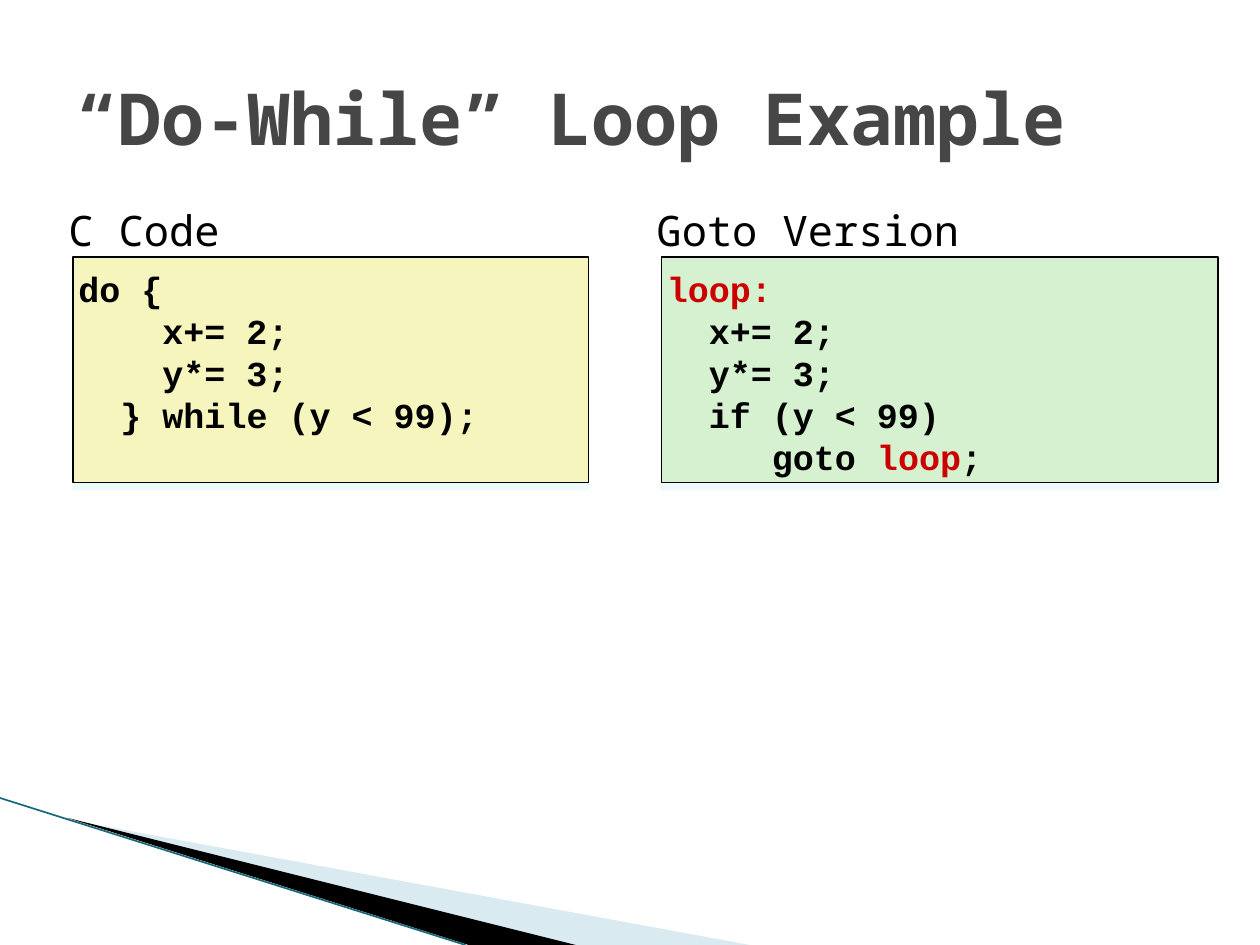
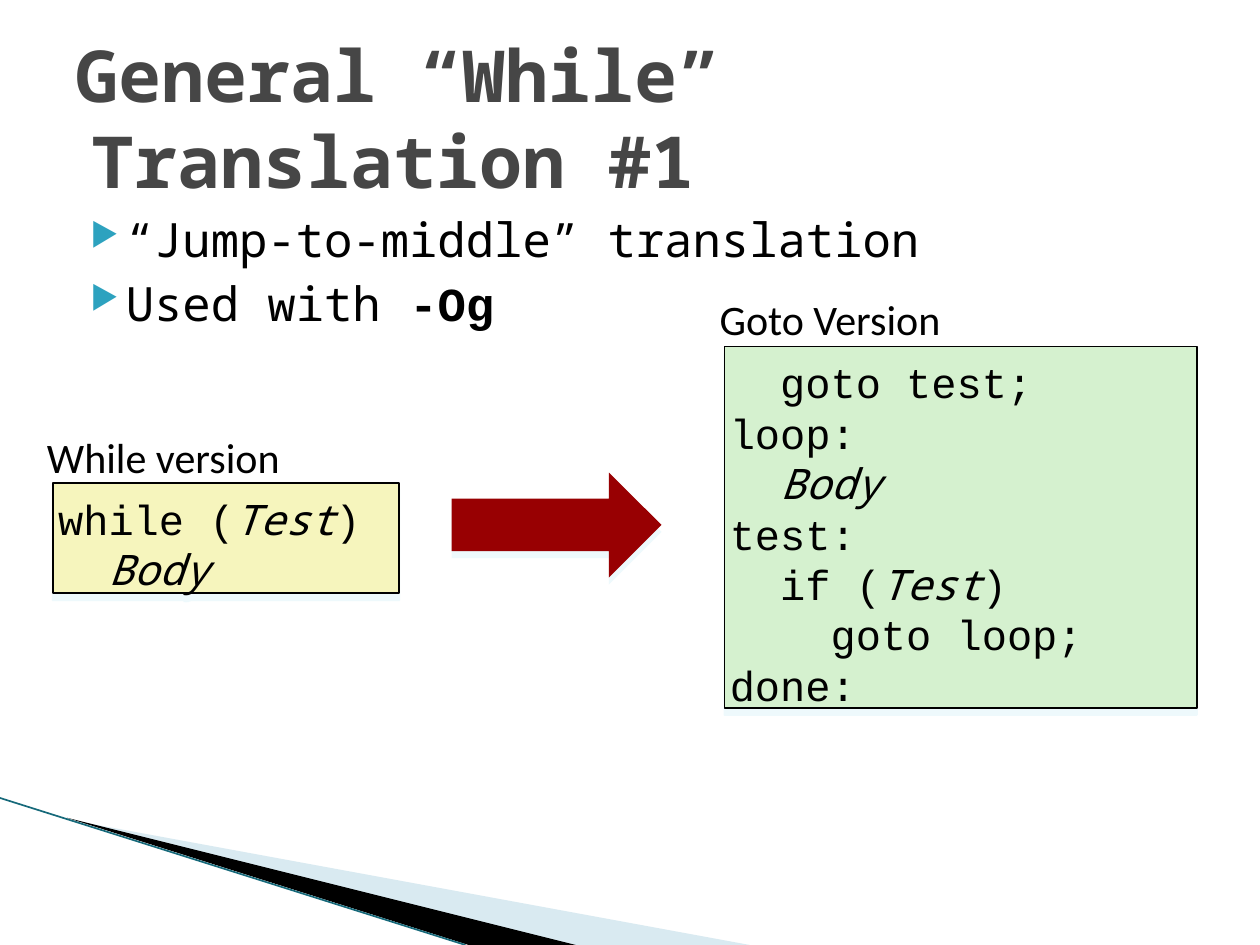
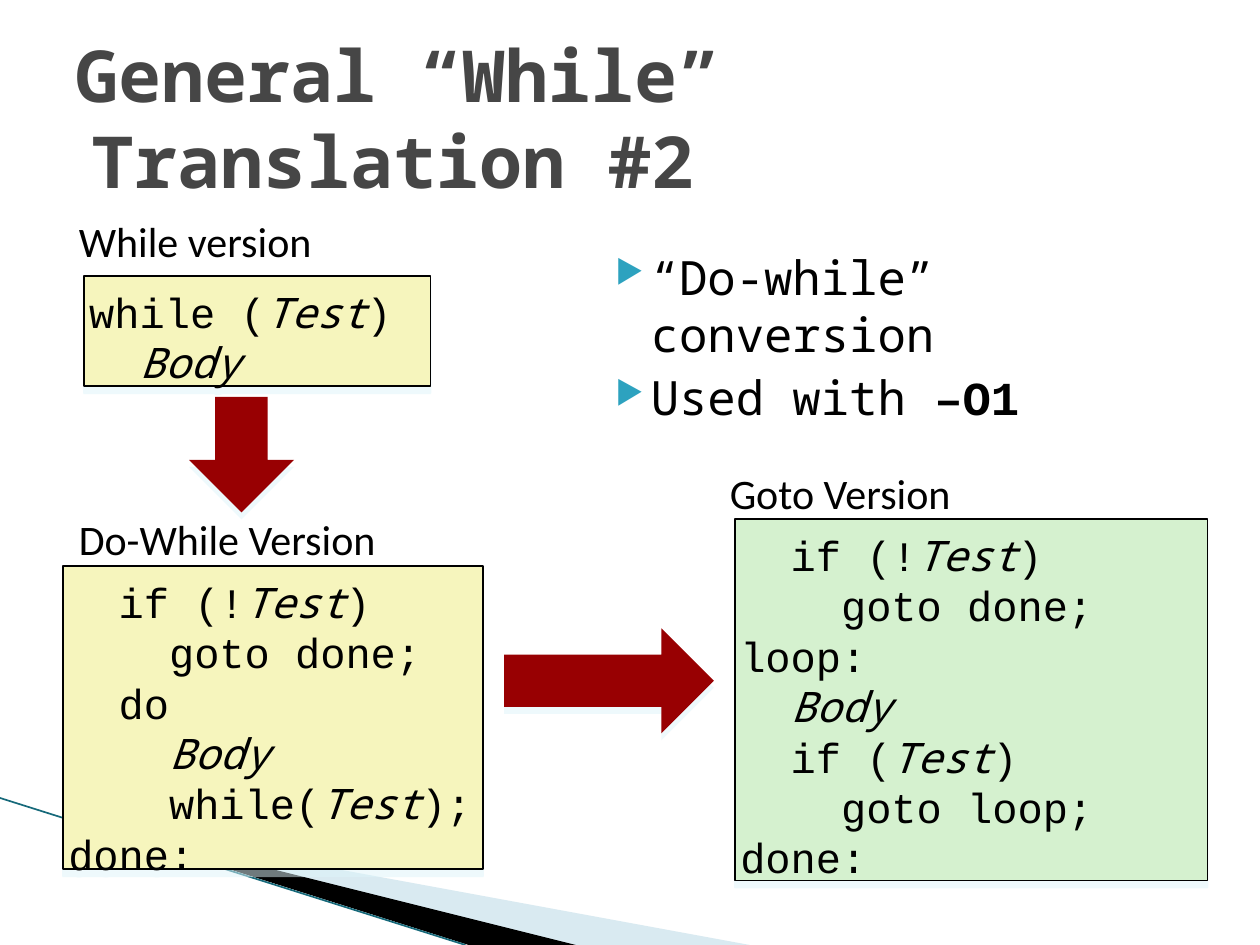
"""Build three slides on translating C loops into goto code."""
from lxml import etree
from pptx import Presentation
from pptx.dml.color import RGBColor
from pptx.enum import shapes, text
from pptx.oxml import ns
from pptx.util import Pt

MONO, CODE, SANS = "Noto Sans Mono", "Courier New", "Calibri"
BLACK, GREY, RED, ARROW = "000000", "464646", "CC0000", "980002"
YELLOW, GREEN, TEAL = "F6F5BD", "D5F1CF", "2DA2BF"
BANDS = [
    ("A0CBDC", 40, [(39.6, 468.5), (428.4, 540), (328.3, 540)]),
    (BLACK, 100, [(38.2, 467.3), (329, 540), (267.8, 540)]),
]
STYLES = {
    "title": dict(name=MONO, size=Pt(41), bold=True, color=GREY),
    "body": dict(name=MONO, size=Pt(27), color=BLACK),
    "mono": dict(name=MONO, size=Pt(24), color=BLACK),
    "sans": dict(name=SANS, size=Pt(24), color=BLACK),
    "bold": dict(name=CODE, size=Pt(20), bold=True, color=BLACK),
    "code": dict(name=CODE, size=Pt(24), color=BLACK),
}
ACCENTS = {
    "body": dict(name=CODE, bold=True),
    "bold": dict(color=RED),
    "code": dict(name=MONO, italic=True),
}
LOOP = [(0, "while (|Test|)"), (2, "|Body|")]
JUMP = [(2, "if (|Test|)"), (4, "goto loop;"), (0, "done:")]
TEST = [(2, "if (!|Test|)"), (4, "goto done;")]

SLIDES = [
    dict(
        title="“Do-While” Loop Example",
        labels=[("C Code", "mono", 36, 113.8, 206),
                ("Goto Version", "mono", 372.2, 113.8, 182)],
        panels=[
            ("bold", YELLOW, (41.8, 146.9, 294.5, 128.9),
             [(0, "do {"), (4, "x+= 2;"), (4, "y*= 3;"),
              (2, "} while (y < 99);")]),
            ("bold", GREEN, (378, 146.9, 318.2, 128.9),
             [(0, "|loop:|"), (2, "x+= 2;"), (2, "y*= 3;"),
              (2, "if (y < 99)"), (5, "goto |loop|;")]),
        ],
    ),
    dict(
        title="General “While” Translation #1",
        body=((36, 116.6, 648, 356.4),
              ["“Jump-to-middle” translation", "Used with |-Og|"]),
        labels=[("While version", "sans", 23.8, 243.4, 206),
                ("Goto Version", "sans", 408.2, 164.9, 229)],
        panels=[
            ("code", YELLOW, (30.2, 276, 198, 63), LOOP),
            ("code", GREEN, (414, 198, 270, 206.6),
             [(2, "goto test;"), (0, "loop:"), (2, "|Body|"),
              (0, "test:")] + JUMP),
        ],
        arrows=[("RIGHT_ARROW", (258, 270, 120, 60))],
    ),
    dict(
        title="General “While” Translation #2",
        body=((336, 138.2, 348, 314.6),
              ["“Do-while” conversion", "Used with |–O1|"]),
        labels=[("While version", "sans", 42, 120.2, 206),
                ("Do-While Version", "sans", 42, 290.2, 229),
                ("Goto Version", "sans", 414, 264.2, 229)],
        panels=[
            ("code", YELLOW, (48, 157.7, 198, 63), LOOP),
            ("code", YELLOW, (36, 323.3, 240, 173.5),
             TEST + [(2, "do"), (4, "|Body|"), (4, "while(|Test|);"),
                     (0, "done:")]),
            ("code", GREEN, (420, 296.6, 270, 206.6),
             TEST + [(0, "loop:"), (2, "|Body|")] + JUMP),
        ],
        arrows=[("DOWN_ARROW", (108, 226.8, 60, 66)),
                ("RIGHT_ARROW", (288, 359, 120, 60))],
    ),
]


def write(shape, lines, style, pads=(7.2, 3.6), anchor="TOP", left=0, hang=0,
          before=0, lead=None):
    frame = shape.text_frame
    frame.word_wrap = True
    frame.vertical_anchor = getattr(text.MSO_ANCHOR, anchor)
    frame.margin_left = frame.margin_right = Pt(pads[0])
    frame.margin_top, frame.margin_bottom = Pt(pads[1]), Pt(3)
    for row, (chars, line) in enumerate(lines):
        para = frame.add_paragraph() if row else frame.paragraphs[0]
        para.alignment = text.PP_ALIGN.LEFT
        para.space_before = Pt(before)
        if lead:
            para.line_spacing = Pt(lead)
        props = para._p.get_or_add_pPr()
        step = 0.6 * STYLES[style]["size"].pt
        props.set("marL", str(Pt(left + chars * step)))
        props.set("indent", str(Pt(-hang)))
        for part, words in enumerate(line.split("|")):
            if not words:
                continue
            run = para.add_run()
            run.text = words
            look = dict(STYLES[style])
            if part % 2:
                look.update(ACCENTS[style])
            run.font.color.rgb = RGBColor.from_string(look.pop("color"))
            for key, value in look.items():
                setattr(run.font, key, value)


def paint(shape, fill, line=None, alpha=100, shade=False):
    shape.fill.solid()
    shape.fill.fore_color.rgb = RGBColor.from_string(fill)
    if alpha < 100:
        tone = shape._element.spPr.find(".//" + ns.qn("a:srgbClr"))
        etree.SubElement(tone, ns.qn("a:alpha"), val=str(alpha * 1000))
    if line:
        shape.line.color.rgb = RGBColor.from_string(line)
        shape.line.width = Pt(1)
    else:
        shape.line.fill.background()
    shape.shadow.inherit = False
    if shade:
        glow = etree.SubElement(
            shape._element.spPr.find(ns.qn("a:effectLst")),
            ns.qn("a:outerShdw"), blurRad="0", dist=str(Pt(4)),
            dir="5400000", algn="ctr", rotWithShape="0")
        tone = etree.SubElement(glow, ns.qn("a:srgbClr"), val="DEF5FA")
        etree.SubElement(tone, ns.qn("a:alpha"), val="50000")


deck = Presentation()
deck.slide_width, deck.slide_height = Pt(720), Pt(540)

for page in SLIDES:
    items = deck.slides.add_slide(deck.slide_layouts[6]).shapes

    for fill, alpha, points in BANDS:
        pen = items.build_freeform(*map(Pt, points[0]))
        pen.add_line_segments([(Pt(x), Pt(y)) for x, y in points[1:]])
        paint(pen.convert_to_shape(), fill, alpha=alpha)
    edge = items.add_connector(shapes.MSO_CONNECTOR.STRAIGHT,
                               Pt(0), Pt(456), Pt(266), Pt(540))
    edge.line.color.rgb = RGBColor.from_string("16697A")
    edge.line.width = Pt(0.95)
    etree.SubElement(edge._element.spPr, ns.qn("a:effectLst"))

    for label, style, x, y, wide in page["labels"]:
        box = items.add_textbox(Pt(x), Pt(y), Pt(wide), Pt(35.3))
        write(box, [(0, label)], style, (3, 3), left=14.4, hang=14.4,
              before=8.6)

    for style, fill, place, lines in page["panels"]:
        panel = items.add_shape(shapes.MSO_SHAPE.RECTANGLE, *map(Pt, place))
        paint(panel, fill, BLACK, shade=True)
        write(panel, lines, style, (3, 6),
              lead=1.2 * STYLES[style]["size"].pt)

    box = items.add_textbox(Pt(36), Pt(21.6), Pt(648), Pt(90))
    write(box, [(0, page["title"])], "title", anchor="MIDDLE", left=9.4,
          hang=9.4)

    if "body" in page:
        place, lines = page["body"]
        box = items.add_textbox(*map(Pt, place))
        write(box, [(0, line) for line in lines], "body", left=28.8,
              hang=20.2, before=4)
        for para in box.text_frame.paragraphs:
            props = para._p.get_or_add_pPr()
            tone = etree.SubElement(props, ns.qn("a:buClr"))
            etree.SubElement(tone, ns.qn("a:srgbClr"), val=TEAL)
            etree.SubElement(props, ns.qn("a:buSzPct"), val="68000")
            etree.SubElement(props, ns.qn("a:buChar"), char="▶")

    for kind, place in page.get("arrows", []):
        arrow = items.add_shape(getattr(shapes.MSO_SHAPE, kind),
                                *map(Pt, place))
        paint(arrow, ARROW, shade=True)

deck.save("out.pptx")
